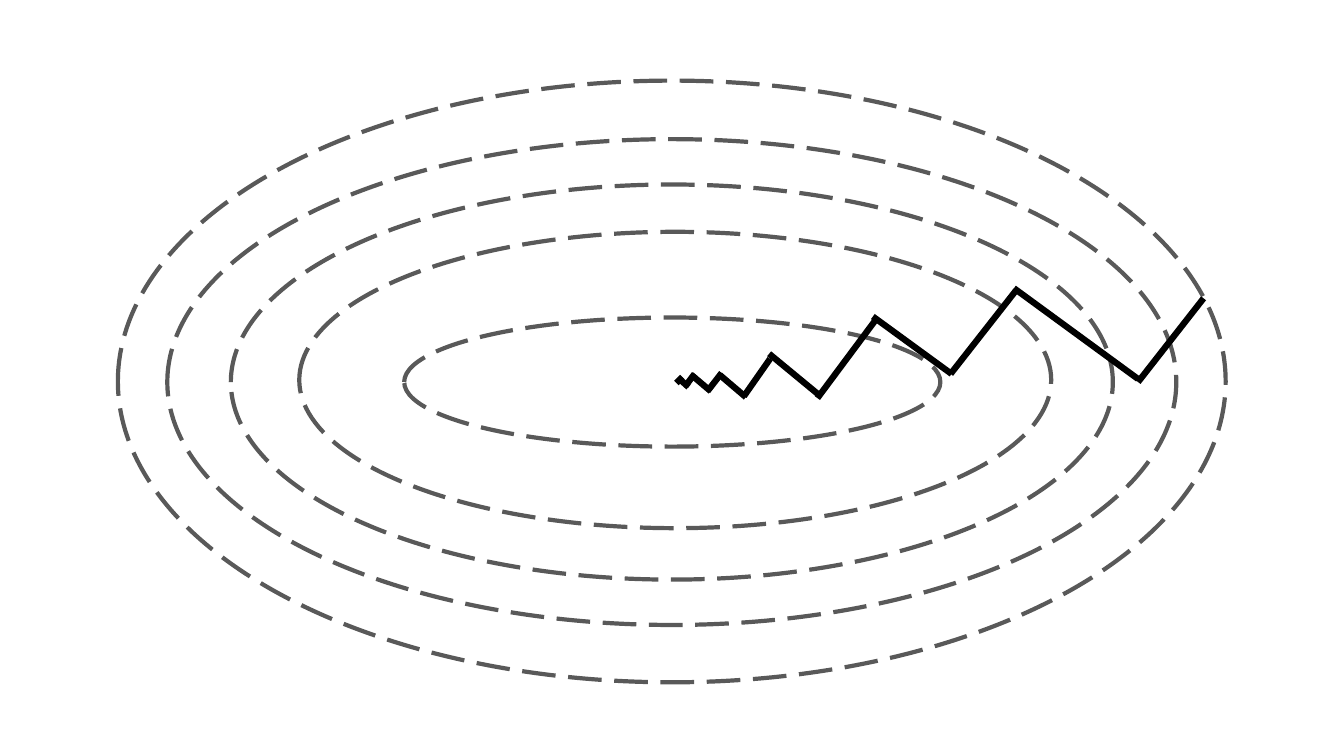
from dataclasses import dataclass

from lxml.etree import SubElement
from pptx import Presentation
from pptx.dml.color import RGBColor
from pptx.enum.dml import MSO_LINE
from pptx.enum.shapes import MSO_CONNECTOR, MSO_SHAPE
from pptx.oxml.ns import qn
from pptx.util import Pt


@dataclass(frozen=True)
class Theme:
    background: RGBColor = RGBColor(0xFF, 0xFF, 0xFF)
    ring: RGBColor = RGBColor(0x59, 0x59, 0x59)
    path_line: RGBColor = RGBColor(0x00, 0x00, 0x00)
    ring_width: float = 3
    path_width: float = 4.5


THEME = Theme()

# Rings from outside in: left, top, width, height in points
RINGS = [
    (84.2, 57.6, 791.3, 429.8),
    (119.5, 99.4, 720.7, 347),
    (164.9, 131.8, 630, 282.2),
    (213.8, 165.6, 537.1, 211.7),
    (288.7, 226.8, 383, 92.2),
]

# Zigzag strokes from the outer ring to the centre: x1, y1, x2, y2 in points
STROKES = [
    (859.7, 213.1, 812.9, 272.9),
    (724.3, 205.9, 812.9, 270.7),
    (725.8, 207.4, 679, 267.1),
    (623.5, 226.1, 679.7, 267.1),
    (625.7, 228.2, 583.9, 284.4),
    (549.4, 252.7, 586.1, 283),
    (550.1, 256.3, 531.4, 283),
    (514.1, 267.8, 532.8, 283.7),
    (515.5, 266.4, 505.4, 279.4),
    (493.9, 267.8, 507.6, 279.4),
    (496.1, 267.1, 489.6, 275.8),
    (485.3, 270.7, 491.8, 276.5),
    (487.4, 269.3, 483.1, 273.6),
]


def style_line(line, color, width):
    line.color.rgb = color
    line.width = Pt(width)


def add_ring(group, bounds):
    ring = group.shapes.add_shape(MSO_SHAPE.OVAL, *map(Pt, bounds))
    ring.shadow.inherit = False
    ring.fill.background()
    style_line(ring.line, THEME.ring, THEME.ring_width)
    ring.line.dash_style = MSO_LINE.LONG_DASH


def add_stroke(slide, ends):
    stroke = slide.shapes.add_connector(MSO_CONNECTOR.STRAIGHT, *map(Pt, ends))
    style_line(stroke.line, THEME.path_line, THEME.path_width)
    SubElement(stroke._element.spPr, qn("a:effectLst"))


def main():
    deck = Presentation()
    deck.slide_width, deck.slide_height = Pt(960), Pt(540)
    slide = deck.slides.add_slide(deck.slide_layouts[6])
    slide.background.fill.solid()
    slide.background.fill.fore_color.rgb = THEME.background

    # Nested dashed rings
    ring_group = slide.shapes.add_group_shape()
    for bounds in RINGS:
        add_ring(ring_group, bounds)

    # Zigzag path
    for ends in STROKES:
        add_stroke(slide, ends)

    deck.save("out.pptx")


if __name__ == "__main__":
    main()
